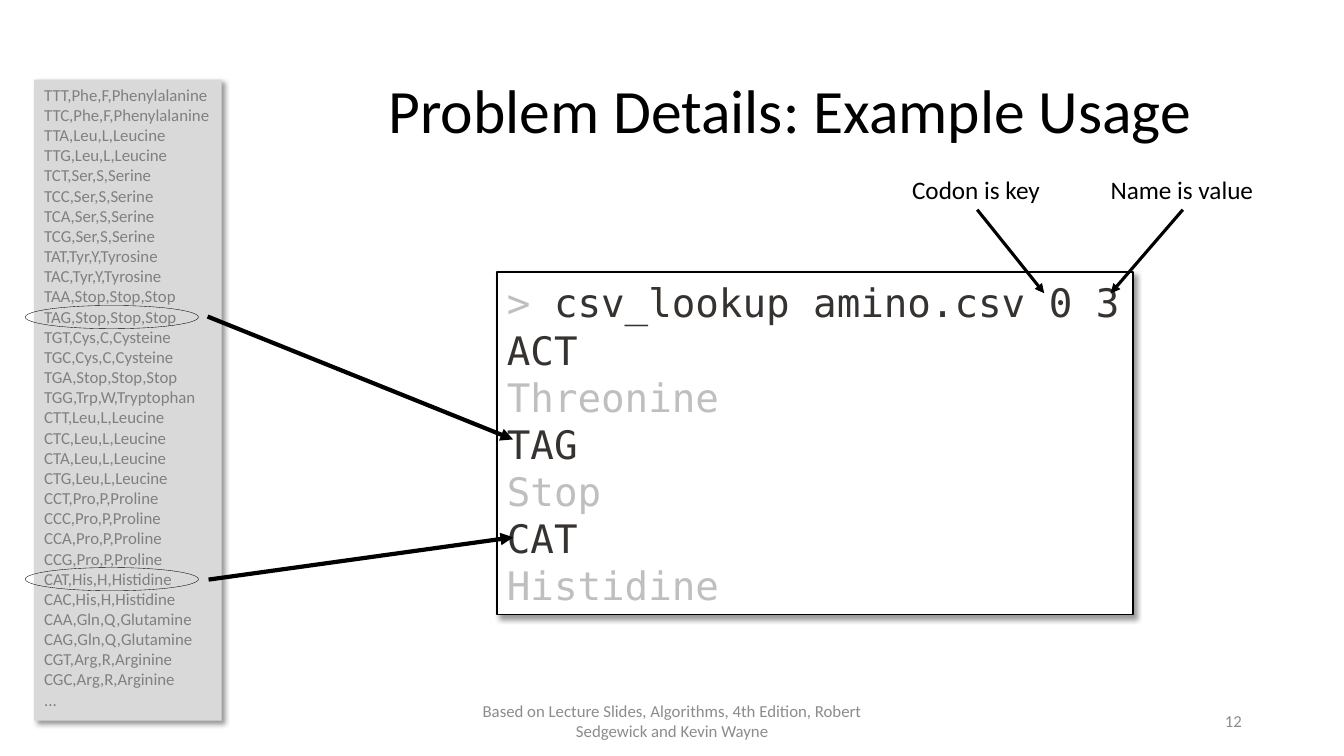
from dataclasses import dataclass

from lxml import etree
from pptx import Presentation
from pptx.dml.color import RGBColor
from pptx.enum.shapes import MSO_CONNECTOR as Conn, MSO_SHAPE as Shape
from pptx.enum.text import MSO_ANCHOR as Anchor, MSO_AUTO_SIZE as Auto, PP_ALIGN as Align
from pptx.oxml.ns import qn
from pptx.util import Pt

SANS, MONO = "Calibri", "DejaVu Sans Mono"
BLACK, WHITE, PANEL, GRAY, FOOT = "000000", "FFFFFF", "D9D9D9", "808080", "8C8C8C"
OUTPUT, TYPED = "BFBFBF", "363230"
ROW_HEIGHT, FIRST_ROW = 14.4, 59.8

AMINO_CSV = """TTT,Phe,F,Phenylalanine
TTC,Phe,F,Phenylalanine
TTA,Leu,L,Leucine
TTG,Leu,L,Leucine
TCT,Ser,S,Serine
TCC,Ser,S,Serine
TCA,Ser,S,Serine
TCG,Ser,S,Serine
TAT,Tyr,Y,Tyrosine
TAC,Tyr,Y,Tyrosine
TAA,Stop,Stop,Stop
TAG,Stop,Stop,Stop
TGT,Cys,C,Cysteine
TGC,Cys,C,Cysteine
TGA,Stop,Stop,Stop
TGG,Trp,W,Tryptophan
CTT,Leu,L,Leucine
CTC,Leu,L,Leucine
CTA,Leu,L,Leucine
CTG,Leu,L,Leucine
CCT,Pro,P,Proline
CCC,Pro,P,Proline
CCA,Pro,P,Proline
CCG,Pro,P,Proline
CAT,His,H,Histidine
CAC,His,H,Histidine
CAA,Gln,Q,Glutamine
CAG,Gln,Q,Glutamine
CGT,Arg,R,Arginine
CGC,Arg,R,Arginine
...""".split("\n")


@dataclass
class Label:
    text: str
    box: tuple[float, float, float, float]
    size: float
    color: str = BLACK
    align: Align = Align.LEFT
    anchor: Anchor = Anchor.MIDDLE
    wrap: bool = True
    spacing: float | None = None
    fill: str | None = None


@dataclass
class Arrow:
    start: tuple[float, float]
    end: tuple[float, float]
    width: float


TITLE = Label("Problem Details: Example Usage", (234.7, 28.8, 659.5, 104.4), 44,
              align=Align.CENTER, spacing=0.9)
FOOTER = Label("Based on Lecture Slides, Algorithms, 4th Edition, Robert Sedgewick and Kevin Wayne",
               (318.2, 500.4, 324, 28.8), 12, FOOT, Align.CENTER)
NUMBER = Label("12", (678.2, 500.4, 216, 28.8), 12, FOOT, Align.RIGHT)
KEY = Label("Codon is key", (644.4, 121, 107.3, 28.8), 18, anchor=Anchor.TOP,
            wrap=False, fill=WHITE)
VALUE = Label("Name is value", (786.2, 121, 117.4, 28.8), 18, anchor=Anchor.TOP, wrap=False)

CONSOLE = [
    [("> ", OUTPUT), ("csv_lookup amino.csv 0 3", TYPED)],
    [("ACT", TYPED)],
    [("Threonine", OUTPUT)],
    [("TAG", TYPED)],
    [("Stop", OUTPUT)],
    [("CAT", TYPED)],
    [("Histidine", OUTPUT)],
]
LOOKUPS = {
    "TAG,Stop,Stop,Stop": Arrow((148.3, 226.1), (366.5, 313.9), 3),
    "CAT,His,H,Histidine": Arrow((149, 414), (366.5, 383.8), 3),
}
CALLOUTS = [
    (KEY, Arrow((698, 149.8), (745.9, 209.5), 2.25)),
    (VALUE, Arrow((844.9, 149.8), (793.4, 209.5), 2.25)),
]


def rgb(color: str) -> RGBColor:
    return RGBColor.from_string(color)


def set_font(font, size: float, name: str, color: str | None = None) -> None:
    font.size, font.name = Pt(size), name
    if color:
        font.color.rgb = rgb(color)


def add_label(s, label: Label):
    sp = s.shapes.add_textbox(*map(Pt, label.box))
    if label.fill:
        sp.fill.solid()
        sp.fill.fore_color.rgb = rgb(label.fill)
    tf = sp.text_frame
    tf.word_wrap, tf.vertical_anchor = label.wrap, label.anchor
    tf.auto_size = Auto.NONE if label.wrap else Auto.SHAPE_TO_FIT_TEXT
    p = tf.paragraphs[0]
    p.text, p.alignment, p.line_spacing = label.text, label.align, label.spacing
    set_font(p.font, label.size, SANS, label.color)
    return sp


def add_shape(s, kind: Shape, box: tuple[float, float, float, float],
              fill: str | None, line: float | None):
    sp = s.shapes.add_shape(kind, *map(Pt, box))
    sp.shadow.inherit = False
    if fill:
        sp.fill.solid()
        sp.fill.fore_color.rgb = rgb(fill)
    else:
        sp.fill.background()
    if line:
        sp.line.color.rgb, sp.line.width = rgb(BLACK), Pt(line)
    else:
        sp.line.fill.background()
    return sp


def add_panel(s, box: tuple[float, float, float, float], fill: str,
              line: float | None, anchor: Anchor):
    sp = add_shape(s, Shape.RECTANGLE, box, fill, line)
    effects = sp._element.spPr.find(qn("a:effectLst"))
    shadow = etree.SubElement(effects, qn("a:outerShdw"), blurRad=str(Pt(4)), dist=str(Pt(3)),
                              dir=str(45 * 60000), algn="tl", rotWithShape="0")
    color = etree.SubElement(shadow, qn("a:srgbClr"), val=BLACK)
    etree.SubElement(color, qn("a:alpha"), val="40000")
    tf = sp.text_frame
    tf.word_wrap, tf.vertical_anchor = False, anchor
    tf.auto_size = Auto.SHAPE_TO_FIT_TEXT
    return tf


def add_lines(tf, lines: list[list[tuple[str, str]]], size: float, name: str) -> None:
    for i, runs in enumerate(lines):
        p = tf.add_paragraph() if i else tf.paragraphs[0]
        p.alignment = Align.LEFT
        set_font(p.font, size, name)
        for text, color in runs:
            r = p.add_run()
            r.text = text
            r.font.color.rgb = rgb(color)


def add_arrow(s, arrow: Arrow):
    cx = s.shapes.add_connector(Conn.STRAIGHT, *map(Pt, arrow.start + arrow.end))
    cx.line.color.rgb, cx.line.width = rgb(BLACK), Pt(arrow.width)
    etree.SubElement(cx.line._get_or_add_ln(), qn("a:tailEnd"), type="triangle")
    etree.SubElement(cx._element.spPr, qn("a:effectLst"))
    return cx


def main() -> None:
    prs = Presentation()
    prs.slide_width, prs.slide_height = Pt(960), Pt(540)
    s = prs.slides.add_slide(prs.slide_layouts[6])
    for label in (TITLE, FOOTER, NUMBER):
        add_label(s, label)

    tf = add_panel(s, (355, 194.4, 454.3, 244.8), WHITE, 1, Anchor.MIDDLE)
    add_lines(tf, CONSOLE, 28, MONO)
    tf = add_panel(s, (24.5, 56.9, 133.9, 457.9), PANEL, None, Anchor.TOP)
    add_lines(tf, [[(row, GRAY)] for row in AMINO_CSV], 12, SANS)

    for row, arrow in LOOKUPS.items():
        top = FIRST_ROW + ROW_HEIGHT * AMINO_CSV.index(row)
        add_shape(s, Shape.OVAL, (18, top, 123.8, 16.6), None, 0.25)
        add_arrow(s, arrow)
    for label, arrow in CALLOUTS:
        sp = add_label(s, label)
        add_arrow(s, arrow).begin_connect(sp, 2)
    prs.save("out.pptx")


if __name__ == "__main__":
    main()
